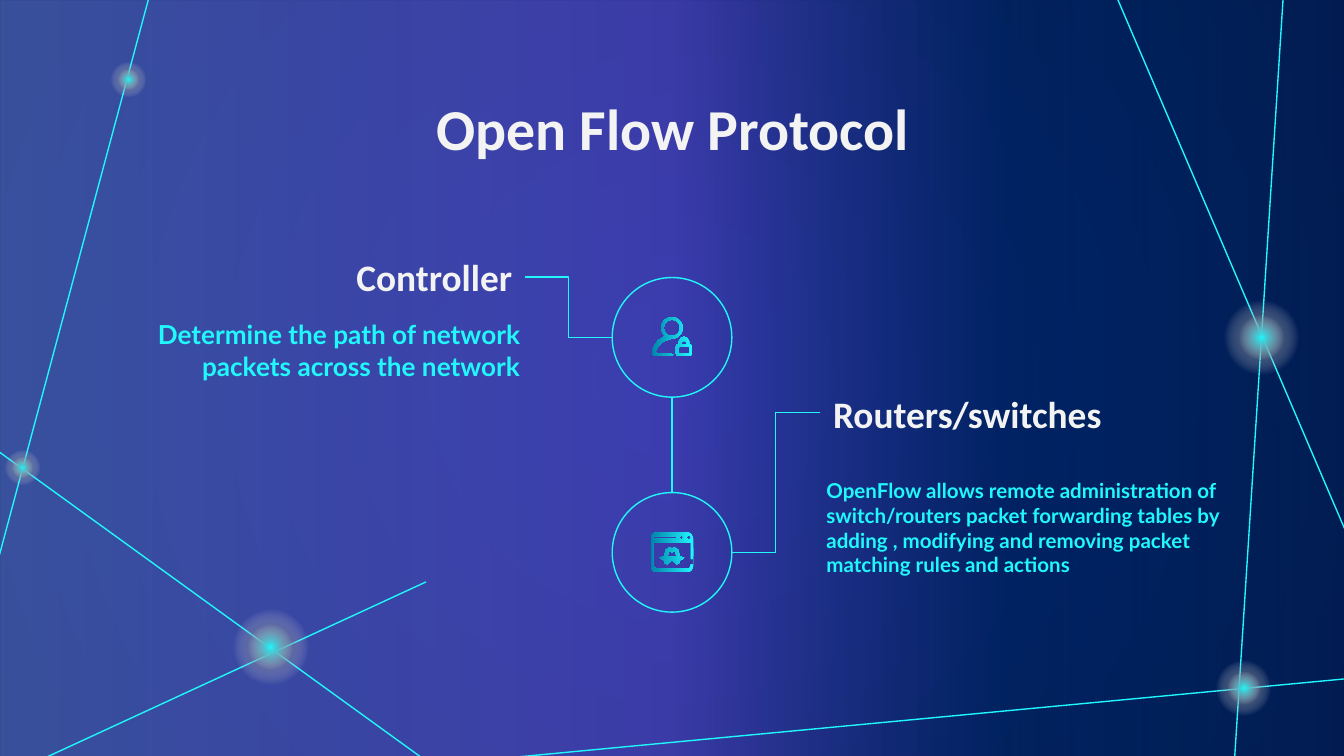
import math

import lxml.etree
import pptx
import pptx.dml.color
import pptx.enum.shapes
import pptx.enum.text
import pptx.oxml
import pptx.oxml.ns
import pptx.util

WIDE, HIGH = pptx.util.Inches(10), pptx.util.Inches(5.625)
CELL = WIDE / 100
CYAN, WHITE, NAVY, BLUE = "20F8FD", "F3F3F3", "00183A", "012060"

RAYS = [
    (83.1, -0.2, 100.2, 39.7), (95.5, -0.6, 91.8, 57.4),
    (37.7, 56.4, 101.3, 50.4), (-0.1, 33.6, 32.1, 56.9),
    (1.6, 57.2, 31.7, 43.3), (11.3, -1, -0.1, 41.5),
]
NODES = [(93.85, 25.1, 7.9), (92.55, 51.2, 5.8), (20.15, 48.15, 7.9),
         (1.7, 34.8, 3.7), (9.55, 5.95, 3.7)]
SKY = [(0, "748BFF", 49), (50, "7659FF", 50), (75, "022E88", 35), (100, BLUE, 60)]
INK = [(0, CYAN, 100), (100, "0182AA", 100)]

HEAD = {"size": pptx.util.Pt(20), "name": "Calibri", "bold": True}
BODY = {"size": pptx.util.Pt(14), "name": "Lato", "bold": True}
TEXTS = [
    ("Controller", (7.3, 17.9, 31.8, 5.2), "RIGHT", HEAD, WHITE),
    ("Routers/switches", (61, 28.1, 31.8, 5.2), "LEFT", HEAD, WHITE),
    ("Determine the path of network packets across the network",
     (7.9, 22.7, 31.8, 8.9), "RIGHT", BODY, CYAN),
    ("OpenFlow allows remote administration of switch/routers packet forwarding "
     "tables by adding , modifying and removing packet matching rules and actions",
     (60.5, 34.6, 31.8, 16), "LEFT", {**BODY, "size": pptx.util.Pt(11)}, CYAN),
    ("Open Flow Protocol", (7.9, 5.9, 84.3, 6.9), "CENTER",
     {**HEAD, "size": pptx.util.Pt(31)}, WHITE),
]
MID, TOP, LOW, RING = 50, 25.1, 41.1, 8.9
LINKS = [
    ("ELBOW", (39.1, 20.6, MID - RING / 2, TOP)),
    ("ELBOW", (MID + RING / 2, LOW, 61, 30.7)),
    ("STRAIGHT", (MID, TOP + RING / 2, MID, LOW - RING / 2)),
]


def emu(num):
    """Turn grid cells into whole EMU."""
    return round(num * CELL)


def tint(code):
    """Turn a hex string into a colour."""
    return pptx.dml.color.RGBColor.from_string(code)


def blend(fill, host, stops, angle=None):
    """Give the host a gradient, linear at an angle or else radial."""
    fill.solid()
    old = host.find(pptx.oxml.ns.qn("a:solidFill"))
    marks = "".join(
        f'<a:gs pos="{at * 1000}"><a:srgbClr val="{code}">'
        f'<a:alpha val="{show * 1000}"/></a:srgbClr></a:gs>'
        for at, code, show in stops)
    sides = " ".join(f'{side}="50000"' for side in "ltrb")
    way = (f'<a:path path="circle"><a:fillToRect {sides}/></a:path>' if angle is None
           else f'<a:lin ang="{angle * 60000}" scaled="0"/>')
    host.replace(old, pptx.oxml.parse_xml(
        f'<a:gradFill {pptx.oxml.ns.nsdecls("a")} rotWithShape="1">'
        f"<a:gsLst>{marks}</a:gsLst>{way}</a:gradFill>"))


def stroke(shape):
    """Draw a thin cyan line."""
    shape.line.color.rgb = tint(CYAN)
    shape.line.width = pptx.util.Pt(0.75)


def link(slide, kind, ends):
    """Add a connector without a shadow."""
    style = getattr(pptx.enum.shapes.MSO_CONNECTOR, kind)
    wire = slide.shapes.add_connector(style, *map(emu, ends))
    stroke(wire)
    lxml.etree.SubElement(wire._element.spPr, pptx.oxml.ns.qn("a:effectLst"))


def disc(slide, x, y, size):
    """Add a plain circle around a centre."""
    box = (x - size / 2, y - size / 2, size, size)
    shape = slide.shapes.add_shape(pptx.enum.shapes.MSO_SHAPE.OVAL, *map(emu, box))
    shape.shadow.inherit = False
    return shape


def glow(slide, x, y, size):
    """Add a node as two fading discs."""
    for code, part in ((NAVY, 1), (CYAN, 0.6)):
        spot = disc(slide, x, y, size * part)
        spot.line.fill.background()
        blend(spot.fill, spot._element.spPr,
              [(0, code, 100), (50, WHITE, 0), (100, WHITE, 0)])


def write(slide, text, box, side, form, code):
    """Add one block of text."""
    frame = slide.shapes.add_textbox(*map(emu, box)).text_frame
    frame.word_wrap = True
    for edge in ("left", "top", "right", "bottom"):
        setattr(frame, f"margin_{edge}", emu(1))
    para = frame.paragraphs[0]
    para.alignment = getattr(pptx.enum.text.PP_ALIGN, side)
    run = para.add_run()
    run.text = text
    for key, value in form.items():
        setattr(run.font, key, value)
    run.font.color.rgb = tint(code)


def oval(x, y, wide, high, bend=1):
    """List points of an ellipse, or of a rounded box when bend is small."""
    def push(num):
        return math.copysign(abs(num) ** bend, num)
    turns = [math.tau * step / 40 for step in range(40)]
    return [(x + wide * push(math.cos(turn)), y + high * push(math.sin(turn)))
            for turn in turns]


def twin(half):
    """Mirror the right half of an outline about the middle."""
    return half + [(2 * MID - x, y) for x, y in reversed(half)]


def icon(slide, loops):
    """Add one filled freeform from closed outlines."""
    loops = [[(emu(x), emu(y)) for x, y in loop] for loop in loops]
    pen = slide.shapes.build_freeform(*loops[0][0], scale=1)
    for loop in loops:
        pen.move_to(*loop[0])
        pen.add_line_segments(loop[1:], close=True)
    shape = pen.convert_to_shape()
    shape.shadow.inherit = False
    shape.line.fill.background()
    blend(shape.fill, shape._element.spPr, INK, 180)


USER = [
    oval(MID, 24.4, 0.8, 0.8), oval(MID, 24.4, 0.6, 0.6),
    [(49.5, 25), (49, 25.3), (48.7, 25.7), (48.5, 26.1), (48.6, 26.4), (48.9, 26.5),
     (49.9, 26.5), (50.1, 26.4), (49.9, 26.3), (48.9, 26.3), (48.75, 26.2),
     (49, 25.75), (49.4, 25.4), (50, 25.2)],
    oval(50.9, 26.05, 0.6, 0.45, 0.3), oval(50.9, 26.05, 0.4, 0.25, 0.3),
    [(50.5, 25.6), (50.5, 25.4), (50.65, 25.15), (50.9, 25.05), (51.15, 25.15),
     (51.3, 25.4), (51.3, 25.6), (51.05, 25.6), (51.05, 25.45), (50.9, 25.35),
     (50.75, 25.45), (50.75, 25.6)],
]
PAGE = [
    oval(MID, LOW, 1.6, 1.5, 0.3),
    [(48.7, 39.9), (50.4, 39.9), (50.3, 40), (50.4, 40.1), (48.6, 40.1), (48.6, 40)],
    oval(50.7, 40, 0.12, 0.12), oval(51.25, 40, 0.15, 0.12),
    [(48.6, 40.4), (51.4, 40.4), (51.4, 41.6), (51.6, 41.6), (51.6, 42), (51.4, 42),
     (51.3, 42.3), (48.8, 42.3), (48.6, 42.1)],
    twin([(50, 40.8), (50.2, 40.75), (50.45, 40.9), (50.6, 41.4), (50.9, 41.5),
          (50.8, 41.6), (50.6, 41.7), (50.55, 41.9), (50.35, 42), (50, 41.7)]),
    twin([(50, 41.1), (50.2, 41), (50.35, 41.4), (50, 41.45)]),
]


def main():
    """Build the slide and save it."""
    deck = pptx.Presentation()
    deck.slide_width, deck.slide_height = WIDE, HIGH
    slide = deck.slides.add_slide(deck.slide_layouts[6])
    back = slide.background.fill
    back.solid()
    blend(back, slide._element.xpath("//p:bgPr")[0], [(0, BLUE, 100), (100, NAVY, 100)])
    veil = slide.shapes.add_shape(pptx.enum.shapes.MSO_SHAPE.RECTANGLE, 0, 0, WIDE, HIGH)
    veil.shadow.inherit = False
    veil.line.fill.background()
    blend(veil.fill, veil._element.spPr, SKY, 0)
    for ray in RAYS:
        link(slide, "STRAIGHT", ray)
    for node in NODES:
        glow(slide, *node)
    for item in TEXTS:
        write(slide, *item)
    for row, loops in ((TOP, USER), (LOW, PAGE)):
        ring = disc(slide, MID, row, RING)
        ring.fill.background()
        stroke(ring)
        icon(slide, loops)
    for kind, ends in LINKS:
        link(slide, kind, ends)
    deck.save("out.pptx")


if __name__ == "__main__":
    main()
